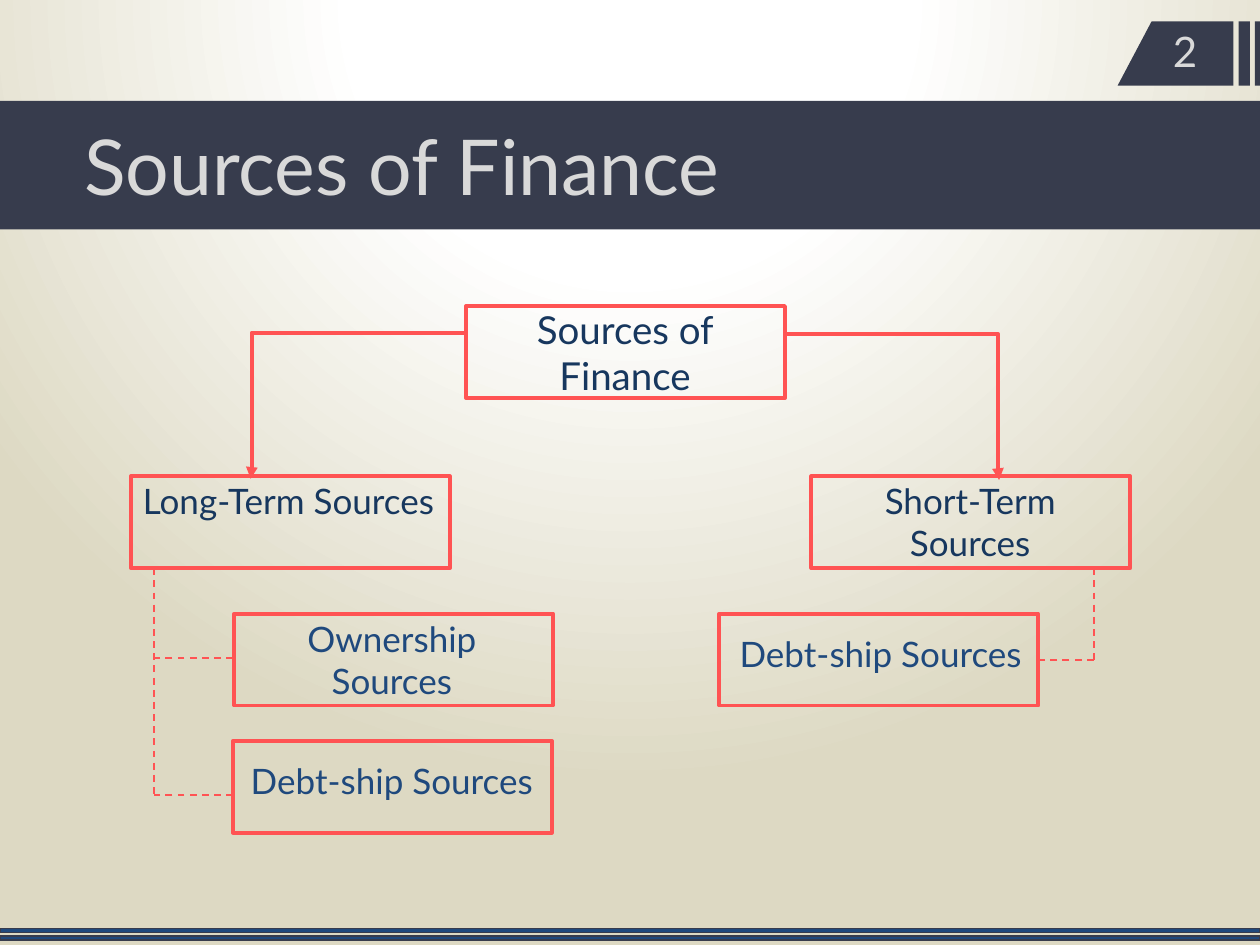
"""Build the Sources of Finance hierarchy slide."""
from dataclasses import dataclass

from lxml import etree
from pptx import Presentation
from pptx.dml.color import RGBColor
from pptx.enum.dml import MSO_LINE
from pptx.enum.shapes import MSO_CONNECTOR, MSO_SHAPE
from pptx.enum.text import MSO_AUTO_SIZE, PP_ALIGN
from pptx.oxml import parse_xml
from pptx.oxml.ns import nsdecls, qn
from pptx.util import Inches, Pt

RECTANGLE = MSO_SHAPE.RECTANGLE
STRAIGHT, ELBOW = MSO_CONNECTOR.STRAIGHT, MSO_CONNECTOR.ELBOW
DASH = MSO_LINE.DASH
LEFT, CENTER = PP_ALIGN.LEFT, PP_ALIGN.CENTER
FIT_SHAPE = MSO_AUTO_SIZE.SHAPE_TO_FIT_TEXT


@dataclass(frozen=True)
class Theme:
    font: str = "Lato"
    band: str = "373C4D"
    light: str = "D9D9D9"
    navy: str = "17375E"
    blue: str = "1F497D"
    coral: str = "FF5353"
    paper: str = "FFFFFF"
    sand: str = "DDD9C3"
    title_size: int = 44
    number_size: int = 24
    root_size: int = 22
    node_size: int = 20
    box_line: float = 2.25
    thin_line: float = 1


class Deck:
    def __init__(self, slide, theme):
        self.slide = slide
        self.theme = theme

    def background(self):
        fill = self.slide.background.fill
        fill.gradient()
        stops = "".join(
            f'<a:gs pos="{position * 1000}"><a:srgbClr val="{color}"/></a:gs>'
            for position, color in ((0, self.theme.paper), (35, self.theme.paper), (100, self.theme.sand))
        )
        glow = parse_xml(
            f'<a:gradFill {nsdecls("a")} rotWithShape="1"><a:gsLst>{stops}</a:gsLst>'
            '<a:path path="circle"><a:fillToRect l="50000" t="-80000" r="50000" b="180000"/></a:path></a:gradFill>'
        )
        linear = next(self.slide.element.iter(qn("a:gradFill")))
        linear.getparent().replace(linear, glow)

    def paint(self, shape, fill=None, line=None, line_width=1):
        shape.shadow.inherit = False
        if fill:
            shape.fill.solid()
            shape.fill.fore_color.rgb = RGBColor.from_string(fill)
        else:
            shape.fill.background()
        if line:
            shape.line.color.rgb = RGBColor.from_string(line)
            shape.line.width = Pt(line_width)
        else:
            shape.line.fill.background()

    def rectangle(self, left, top, width, height, **paint):
        shape = self.slide.shapes.add_shape(RECTANGLE, Inches(left), Inches(top), Inches(width), Inches(height))
        self.paint(shape, **paint)

    def polygons(self, outlines, **paint):
        contours = [[(Inches(x), Inches(y)) for x, y in outline] for outline in outlines]
        builder = self.slide.shapes.build_freeform(*contours[0][0])
        builder.add_line_segments(contours[0][1:], close=True)
        for start, *rest in contours[1:]:
            builder.move_to(*start)
            builder.add_line_segments(rest, close=True)
        self.paint(builder.convert_to_shape(), **paint)

    def connector(self, kind, start, end, width):
        connector = self.slide.shapes.add_connector(kind, *map(Inches, start + end))
        connector.line.color.rgb = RGBColor.from_string(self.theme.coral)
        connector.line.width = Pt(width)
        etree.SubElement(connector.element.spPr, qn("a:effectLst"))
        return connector

    def dashed(self, start, end):
        self.connector(STRAIGHT, start, end, self.theme.thin_line).line.dash_style = DASH

    def elbow_arrow(self, start, end):
        arrow = self.connector(ELBOW, start, end, self.theme.box_line)
        guides = next(arrow.element.iter(qn("a:avLst")))
        etree.SubElement(guides, qn("a:gd"), name="adj1", fmla="val 99500")
        outline = next(arrow.element.iter(qn("a:ln")))
        etree.SubElement(outline, qn("a:tailEnd"), type="triangle")

    def text(self, content, left, top, width, height, size, color, align=LEFT):
        box = self.slide.shapes.add_textbox(Inches(left), Inches(top), Inches(width), Inches(height))
        frame = box.text_frame
        frame.word_wrap = True
        frame.auto_size = FIT_SHAPE
        paragraph = frame.paragraphs[0]
        paragraph.alignment = align
        run = paragraph.add_run()
        run.text = content
        run.font.name = self.theme.font
        run.font.size = Pt(size)
        run.font.color.rgb = RGBColor.from_string(color)


def bar(left, right, top, bottom, slant=0):
    return [(left + slant, top), (right, top), (right, bottom), (left, bottom)]


def main():
    presentation = Presentation()
    presentation.slide_width, presentation.slide_height = Inches(10), Inches(7.5)
    theme = Theme()
    deck = Deck(presentation.slides.add_slide(presentation.slide_layouts[6]), theme)

    deck.background()
    deck.rectangle(0, 0.8, 10, 1.02, fill=theme.band)
    footer_rules = [bar(0, 10, top, top + 0.03) for top in (7.43, 7.37)]
    deck.polygons(footer_rules, fill=theme.blue, line=theme.band)
    number_tab = [bar(left, right, 0.17, 0.68, slant)
                  for left, right, slant in ((9.96, 10, 0), (9.83, 9.92, 0), (8.87, 9.79, 0.27))]
    deck.polygons(number_tab, fill=theme.band)
    deck.text("Sources of Finance", 0.57, 0.89, 6.13, 0.84, theme.title_size, theme.light)
    deck.text("2", 9.21, 0.15, 0.45, 0.5, theme.number_size, theme.light)

    box_width, box_height = 2.53, 0.73
    root_top, term_top, kind_top, debt_top = 2.43, 3.78, 4.87, 5.88
    nodes = (
        ("Sources of Finance", 3.7, root_top, 3.7, 2.38, 0.84, theme.root_size, theme.navy),
        ("Long-Term Sources", 1.04, term_top, 1.03, 3.76, 0.77, theme.node_size, theme.navy),
        ("Ownership Sources", 1.86, kind_top, 1.85, 4.85, 0.77, theme.node_size, theme.blue),
        ("Debt-ship Sources", 1.85, debt_top, 1.85, 5.98, 0.44, theme.node_size, theme.blue),
        ("Short-Term Sources", 6.44, term_top, 6.44, 3.76, 0.77, theme.node_size, theme.navy),
        ("Debt-ship Sources", 5.71, kind_top, 5.73, 4.97, 0.44, theme.node_size, theme.blue),
    )
    for _, left, top, *_ in nodes:
        deck.rectangle(left, top, box_width, box_height, line=theme.coral, line_width=theme.box_line)

    deck.elbow_arrow((3.69, 2.64), (1.99, 3.8))
    deck.elbow_arrow((6.23, 2.65), (7.93, 3.81))

    long_trunk, short_trunk = 1.22, 8.68
    term_bottom = term_top + box_height
    deck.dashed((long_trunk, term_bottom), (long_trunk, 6.31))
    for branch in (5.22, 6.31):
        deck.dashed((1.85, branch), (long_trunk, branch))
    deck.dashed((short_trunk, term_bottom), (short_trunk, 5.24))
    deck.dashed((short_trunk, 5.24), (8.24, 5.24))

    for label, _, _, left, top, height, size, color in nodes:
        deck.text(label, left, top, 2.52, height, size, color, CENTER)

    presentation.save("out.pptx")


if __name__ == "__main__":
    main()
